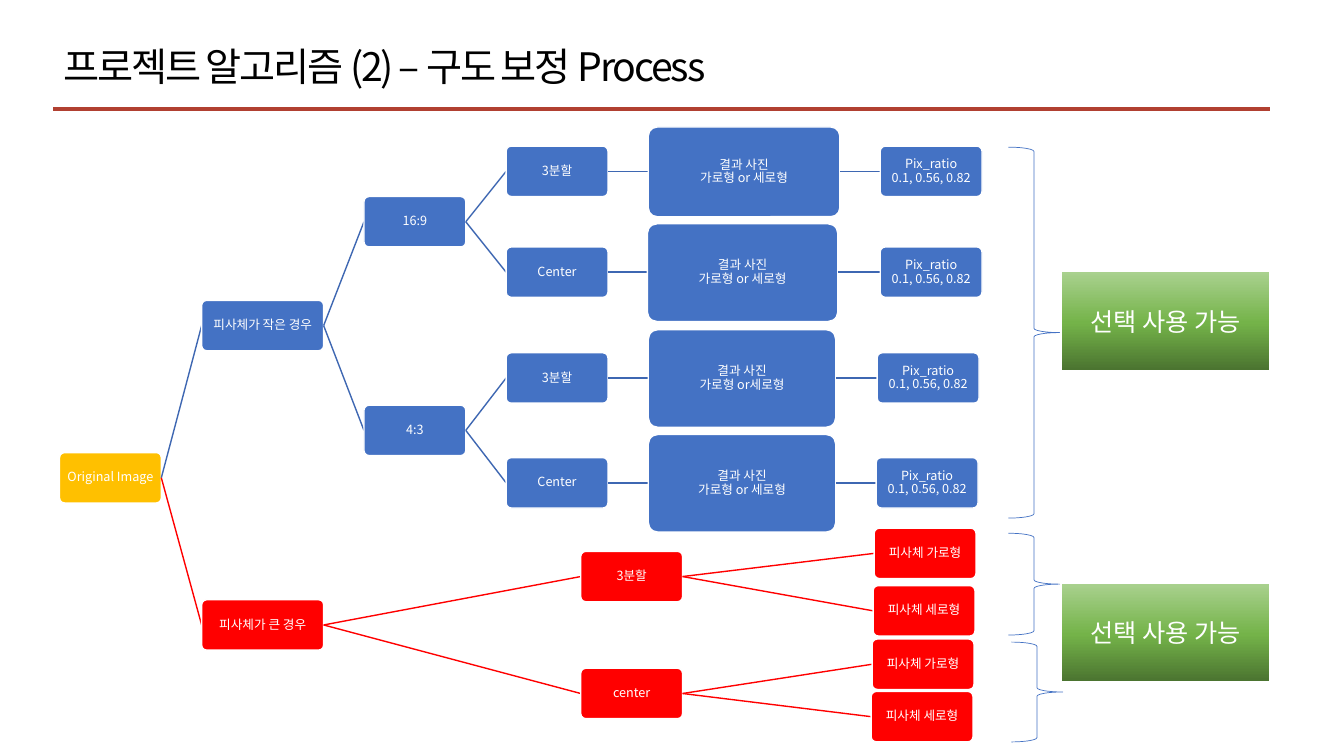
from copy import deepcopy
from lxml import etree
from pptx import Presentation
from pptx import util as u
from pptx.dml.color import RGBColor
from pptx.enum import shapes, text
from pptx.oxml.ns import qn

PX = 9144
FONT = "Noto Sans CJK KR"
WHITE = RGBColor(0xFF, 0xFF, 0xFF)
BLACK = RGBColor(0, 0, 0)
GOLD = RGBColor(0xFF, 0xC0, 0x00)
BLUE = RGBColor(0x44, 0x72, 0xC4)
NAVY = RGBColor(0x3E, 0x67, 0xB2)
RED = RGBColor(0xFF, 0, 0)
BRICK = RGBColor(0xB1, 0x40, 0x31)
GREENS = [(0, RGBColor(0x4B, 0x74, 0x30)), (0.48, RGBColor(0x74, 0xB3, 0x49)),
          (1, RGBColor(0xA9, 0xD1, 0x8E))]
EDGE = {BLUE: NAVY, RED: RED}

TITLE = "프로젝트 알고리즘 (2) – 구도 보정 Process"
PHOTO = "결과 사진\n가로형 or 세로형"
TIGHT = "결과 사진\n가로형 or세로형"
RATIO = "Pix_ratio\n0.1, 0.56, 0.82"
WIDE, TALL = "피사체 가로형", "피사체 세로형"
PICK = "선택 사용 가능"
STD = (101, 50)
CASE = (121, 50)


def chain(name, mid, photo, left, size, end):
    ratio = (RATIO, end, mid, STD, BLUE, [])
    return (name, 502, mid, STD, BLUE, [(photo, left, mid, size, BLUE, [ratio])])


SMALL = ("피사체가 작은 경우", 200, 323, CASE, BLUE, [
    ("16:9", 361, 220, STD, BLUE, [
        chain("3분할", 170, PHOTO, 643, (190, 89), 873),
        chain("Center", 270, PHOTO, 642, (189, 97), 873)]),
    ("4:3", 361, 427, STD, BLUE, [
        chain("3분할", 375, TIGHT, 643, (186, 97), 870),
        chain("Center", 479, PHOTO, 643, (186, 97), 869)])])
LARGE = ("피사체가 큰 경우", 200, 620, CASE, RED, [
    ("3분할", 576, 572, STD, RED, [
        (WIDE, 867, 549, STD, RED, []),
        (TALL, 866, 606, STD, RED, [])]),
    ("center", 576, 688, STD, RED, [
        (WIDE, 865, 659, STD, RED, []),
        (TALL, 864, 711, STD, RED, [])])])
TREE = ("Original Image", 59, 474, STD, GOLD, [SMALL, LARGE])
BRACES = [(1000, 146, 368), (1000, 529, 101), (1003, 637, 99)]
PICKS = [270, 579]

prs = Presentation()
prs.slide_width, prs.slide_height = 1333 * PX, 750 * PX
slide = prs.slides.add_slide(prs.slide_layouts[6])


def write(shape, words, size, color=WHITE, align=text.PP_ALIGN.CENTER,
          anchor=text.MSO_ANCHOR.MIDDLE, inset=None, lead=None, track=None):
    frame = shape.text_frame
    frame.word_wrap = True
    frame.vertical_anchor = anchor
    if inset is not None:
        frame.margin_left = frame.margin_right = inset * PX
        frame.margin_top = frame.margin_bottom = inset * PX
    para = frame.paragraphs[0]
    para.text = words
    para.alignment = align
    if lead:
        para.line_spacing = lead
    for run in para.runs:
        run.font.size = u.Pt(size)
        run.font.name = FONT
        run.font.color.rgb = color
        props = run.font._element
        etree.SubElement(props, qn("a:ea")).set("typeface", FONT)
        if track:
            props.set("spc", str(track))
    for gap in para._p.findall(qn("a:br")):
        gap.append(deepcopy(para.runs[0].font._element))


def draw(kind, left, top, width, height, edge=None, weight=1):
    shape = slide.shapes.add_shape(kind, left * PX, top * PX, width * PX, height * PX)
    shape.shadow.inherit = False
    shape.fill.background()
    if edge is None:
        shape.line.fill.background()
    else:
        shape.line.color.rgb = edge
        shape.line.width = u.Pt(weight)
    return shape


def link(start, end, color, weight=1):
    line = slide.shapes.add_connector(
        shapes.MSO_CONNECTOR.STRAIGHT, *[n * PX for n in start + end])
    line.line.color.rgb = color
    line.line.width = u.Pt(weight)
    etree.SubElement(line._element.spPr, qn("a:effectLst"))


def grow(node):
    name, left, mid, (width, height), color, kids = node
    box = draw(shapes.MSO_SHAPE.ROUNDED_RECTANGLE, left, mid - height // 2,
               width, height, WHITE)
    box.adjustments[0] = 0.1
    box.fill.solid()
    box.fill.fore_color.rgb = color
    write(box, name, 9, inset=1, lead=0.9)
    for kid in kids:
        link((left + width, mid), (kid[1], kid[2]), EDGE[kid[4]])
        grow(kid)


def shade(shape):
    fill = shape.fill
    fill.gradient()
    fill.gradient_angle = 90
    stops = shape._element.spPr.find(qn("a:gradFill")).find(qn("a:gsLst"))
    stops.append(deepcopy(stops[0]))
    for stop, (place, color) in zip(fill.gradient_stops, GREENS):
        stop.position = place
        stop.color.rgb = color


head = slide.shapes.add_textbox(53 * PX, 37 * PX, 1067 * PX, 57 * PX)
write(head, TITLE, 28, BLACK, text.PP_ALIGN.LEFT, text.MSO_ANCHOR.TOP, track=-150)
link((53, 108), (1260, 108), BRICK, 3)
grow(TREE)
for left, top, height in BRACES:
    draw(shapes.MSO_SHAPE.RIGHT_BRACE, left, top, 51, height, BLUE, 0.5)
for top in PICKS:
    pick = draw(shapes.MSO_SHAPE.RECTANGLE, 1053, top, 206, 97)
    shade(pick)
    write(pick, PICK, 18)

prs.save("out.pptx")
